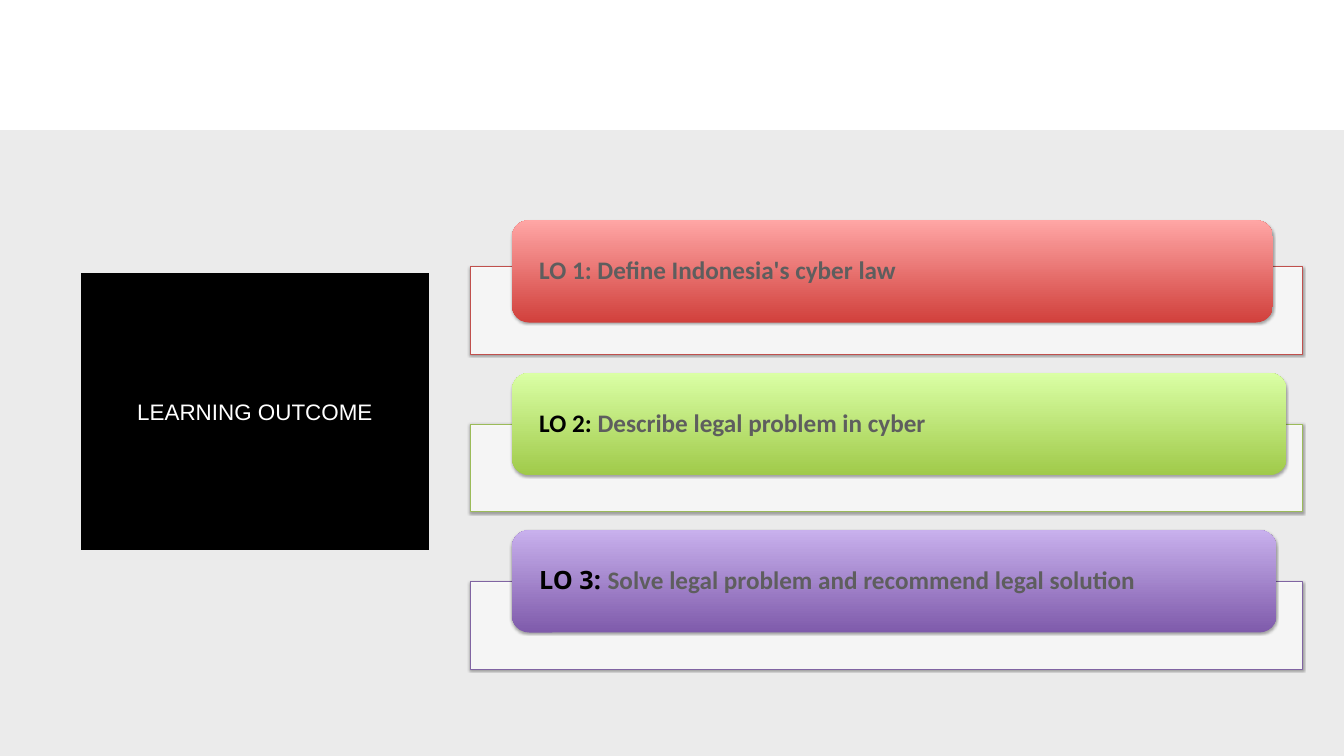
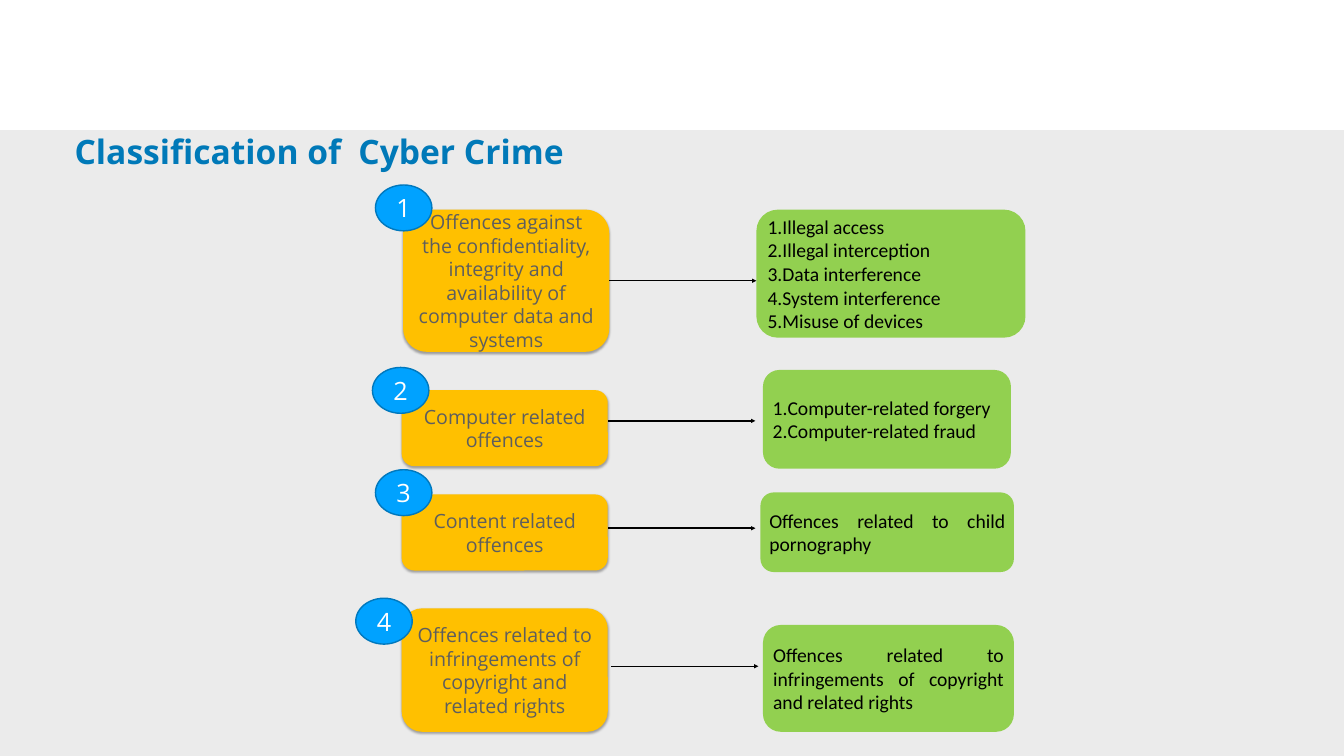
from lxml import etree
from pptx import Presentation
from pptx import util as u
from pptx.dml.color import RGBColor
from pptx.enum import shapes, text
from pptx.oxml.ns import qn

COLS, ROWS = 26.67, 15
CELL = u.Inches(1)
BLACK, WHITE, GREY, BAND = "000000", "FFFFFF", "5E5E5E", "EBEBEB"
AMBER, GREEN, BLUE, BLUE_EDGE, TITLE_BLUE = "FFC000", "92D050", "00A2FF", "0078BD", "0079B8"
BAR_SHADOW, BOX_SHADOW = (35, 3.1, 1.8), (32, 3.5, 2.2)
ROUND, RECT, OVAL = (shapes.MSO_SHAPE.ROUNDED_RECTANGLE, shapes.MSO_SHAPE.RECTANGLE,
                     shapes.MSO_SHAPE.OVAL)
LEFT, CENTER, JUSTIFY = text.PP_ALIGN.LEFT, text.PP_ALIGN.CENTER, text.PP_ALIGN.JUSTIFY

OUTCOMES = [
    (5.29, 4.37, 15.1, "C0504D", "D1403C", "FFA6A5",
     [("LO 1: Define Indonesia's cyber law", "Calibri", GREY)]),
    (8.41, 7.4, 15.37, "9BBB59", "A0CA4A", "DAFFA5",
     [("LO 2: ", "Calibri", BLACK), ("Describe legal problem in cyber", "Calibri", GREY)]),
    (11.54, 10.52, 15.17, "8064A2", "7F5BAB", "C8B0ED",
     [("LO 3: ", "Open Sans", BLACK),
      ("Solve legal problem and recommend legal solution", "Calibri", GREY)]),
]
OFFENCES = [
    ("Offences against the confidentiality, integrity and availability of "
     "computer data and systems", (8, 4.16, 4.09, 2.82), (7.45, 3.67), (12.09, 5.57),
     ["Illegal access", "Illegal interception", "Data interference",
      "System interference", "Misuse of devices"], (15.01, 4.16, 5.34, 2.54)),
    ("Computer related offences", (7.97, 7.74, 4.09, 1.51), (7.39, 7.29), (12.07, 8.35),
     ["Computer-related forgery", "Computer-related fraud"], (15.14, 7.34, 4.92, 1.96)),
    ("Content related offences", (7.97, 9.81, 4.09, 1.51), (7.45, 9.32), (12.07, 10.48),
     ["Offences related to child pornography"], (15.09, 9.77, 5.03, 1.58)),
    ("Offences related to infringements of copyright and related rights",
     (7.97, 12.07, 4.09, 2.45), (7.06, 11.87), (12.13, 13.22),
     ["Offences related to infringements of copyright and related rights"],
     (15.14, 12.4, 4.98, 2.12)),
]


def rgb(color):
    """Turn a hex string into a colour."""
    return RGBColor.from_string(color)


def cells(*counts):
    """Turn counts of grid cells into lengths."""
    return [int(n * CELL) for n in counts]


def apply(obj, **values):
    """Set each named attribute on an object."""
    for name, value in values.items():
        setattr(obj, name, value)


def sub(parent, tag, **attrs):
    """Append an XML element and return it."""
    return etree.SubElement(parent, qn(tag), {k: str(v) for k, v in attrs.items()})


def place(sp, at):
    """Move a shape to its grid cells."""
    apply(sp, **dict(zip(("left", "top", "width", "height"), cells(*at))))


def set_alpha(color, percent):
    """Set the opacity of a colour element."""
    sub(color, "a:alpha", val=percent * 1000)


def add_shadow(sp, alpha, blur, dist):
    """Give a shape a soft shadow straight below."""
    effects = sp._element.spPr.find(qn("a:effectLst"))
    shadow = sub(effects, "a:outerShdw", blurRad=u.Pt(blur), dist=u.Pt(dist),
                 dir=90 * 60000, algn="ctr", rotWithShape=0)
    set_alpha(sub(shadow, "a:srgbClr", val=BLACK), alpha)


def add_box(s, kind, at, fill, line=None, shadow=None):
    """Add a preset shape with a plain or two-colour upward gradient fill."""
    sp = s.shapes.add_shape(kind, *cells(*at))
    sp.shadow.inherit = False
    if isinstance(fill, tuple):
        sp.fill.gradient()
        sp.fill.gradient_angle = 90
        for stop, color in zip(sp.fill.gradient_stops, fill):
            stop.color.rgb = rgb(color)
    else:
        sp.fill.solid()
        sp.fill.fore_color.rgb = rgb(fill)
    if line:
        sp.line.color.rgb = rgb(line[0])
        sp.line.width = u.Pt(line[1])
    else:
        sp.line.fill.background()
    if shadow:
        add_shadow(sp, *shadow)
    return sp


def add_runs(p, runs, size, bold=False, **layout):
    """Fill a paragraph with (words, font, colour) runs."""
    apply(p, **layout)
    for words, name, color in runs:
        r = p.add_run()
        r.text = words
        apply(r.font, name=name, size=u.Pt(size), bold=bold)
        r.font.color.rgb = rgb(color)


def set_frame(sp, anchor=text.MSO_ANCHOR.MIDDLE, x=0.1, y=0.05):
    """Wrap, anchor and inset the text of a shape."""
    tf = sp.text_frame
    apply(tf, word_wrap=True, auto_size=text.MSO_AUTO_SIZE.NONE, vertical_anchor=anchor,
          margin_left=u.Inches(x), margin_right=u.Inches(x),
          margin_top=u.Inches(y), margin_bottom=u.Inches(y))
    return tf


def write(sp, words, font, size, color, align):
    """Write one plain paragraph in a shape."""
    add_runs(set_frame(sp).paragraphs[0], [(words, font, color)], size, alignment=align)


def number(p):
    """Number a paragraph with a hanging indent."""
    pPr = p._p.get_or_add_pPr()
    pPr.set("marL", str(u.Inches(0.25)))
    pPr.set("indent", str(-u.Inches(0.25)))
    sub(pPr, "a:buFont", typeface="+mj-lt")
    sub(pPr, "a:buAutoNum", type="arabicPeriod")


def add_arrow(s, start, length):
    """Draw a level arrow to the right."""
    x, y = start
    line = s.shapes.add_connector(shapes.MSO_CONNECTOR.STRAIGHT, *cells(x, y, x + length, y))
    line.line.color.rgb = rgb(BLACK)
    line.line.width = u.Pt(2)
    sub(line.line._get_or_add_ln(), "a:tailEnd", type="triangle")
    sub(line._element.spPr, "a:effectLst")


def add_outcome(s, frame_top, bar_top, bar_width, edge, dark, light, runs):
    """Add a learning outcome: a pale frame behind a gradient bar."""
    frame = add_box(s, RECT, (9.33, frame_top, 16.52, 1.74), WHITE, (edge, 0.75), BAR_SHADOW)
    set_alpha(frame.fill.fore_color._xFill.find(qn("a:srgbClr"))
              if hasattr(frame.fill.fore_color, "_xFill")
              else frame._element.spPr.find(qn("a:solidFill")).find(qn("a:srgbClr")), 90)
    bar = add_box(s, ROUND, (10.16, bar_top, bar_width, 2.03), (dark, light), None, BAR_SHADOW)
    p = set_frame(bar, x=0.44, y=0).paragraphs[0]
    add_runs(p, runs, 36, True, alignment=LEFT, line_spacing=0.9)


def add_offence(s, index, name, box, badge, arrow, details, detail_box):
    """Add a numbered offence with an arrow to its details."""
    write(add_box(s, ROUND, box, AMBER, None, BOX_SHADOW), name, "Open Sans", 28, GREY, CENTER)
    oval = add_box(s, OVAL, (*badge, 1.12, 0.91), BLUE, (BLUE_EDGE, 2))
    write(oval, str(index), "Open Sans", 36, WHITE, CENTER)
    tf = set_frame(add_box(s, ROUND, detail_box, GREEN))
    is_list = len(details) > 1
    for i, words in enumerate(details):
        p = tf.add_paragraph() if i else tf.paragraphs[0]
        add_runs(p, [(words, "Calibri", BLACK)], 28, alignment=LEFT if is_list else JUSTIFY)
        if is_list:
            number(p)
    add_arrow(s, arrow, 2.92)


def add_band(prs, s):
    """Put the grey band on the slide master."""
    band = add_box(s, RECT, (0, 2.58, COLS, ROWS - 2.58), BAND)
    prs.slide_master.shapes._spTree.insert(2, band._element)


def outcome_slide(s):
    """Build the learning outcome slide."""
    title = s.shapes.title
    place(title, (1.61, 5.42, 6.9, 5.49))
    sub(sub(title._element.spPr, "a:prstGeom", prst="roundRect"), "a:avLst")
    title.fill.solid()
    title.fill.fore_color.rgb = rgb(BLACK)
    write(title, "LEARNING OUTCOME", "Arial", 32, WHITE, CENTER)
    for outcome in OUTCOMES:
        add_outcome(s, *outcome)


def crime_slide(s):
    """Build the cyber crime classification slide."""
    title = s.shapes.title
    place(title, (1.38, 2.54, 10.04, 0.91))
    tf = set_frame(title, text.MSO_ANCHOR.TOP)
    add_runs(tf.paragraphs[0], [("Classification of  Cyber Crime", "Open Sans", TITLE_BLUE)],
             48, True, alignment=LEFT)
    for i, offence in enumerate(OFFENCES, 1):
        add_offence(s, i, *offence)


def main():
    """Build and save the presentation."""
    prs = Presentation()
    prs.slide_width, prs.slide_height = cells(COLS, ROWS)
    first, second = (prs.slides.add_slide(prs.slide_layouts[5]) for _ in range(2))
    add_band(prs, first)
    outcome_slide(first)
    crime_slide(second)
    prs.save("out.pptx")


if __name__ == "__main__":
    main()
